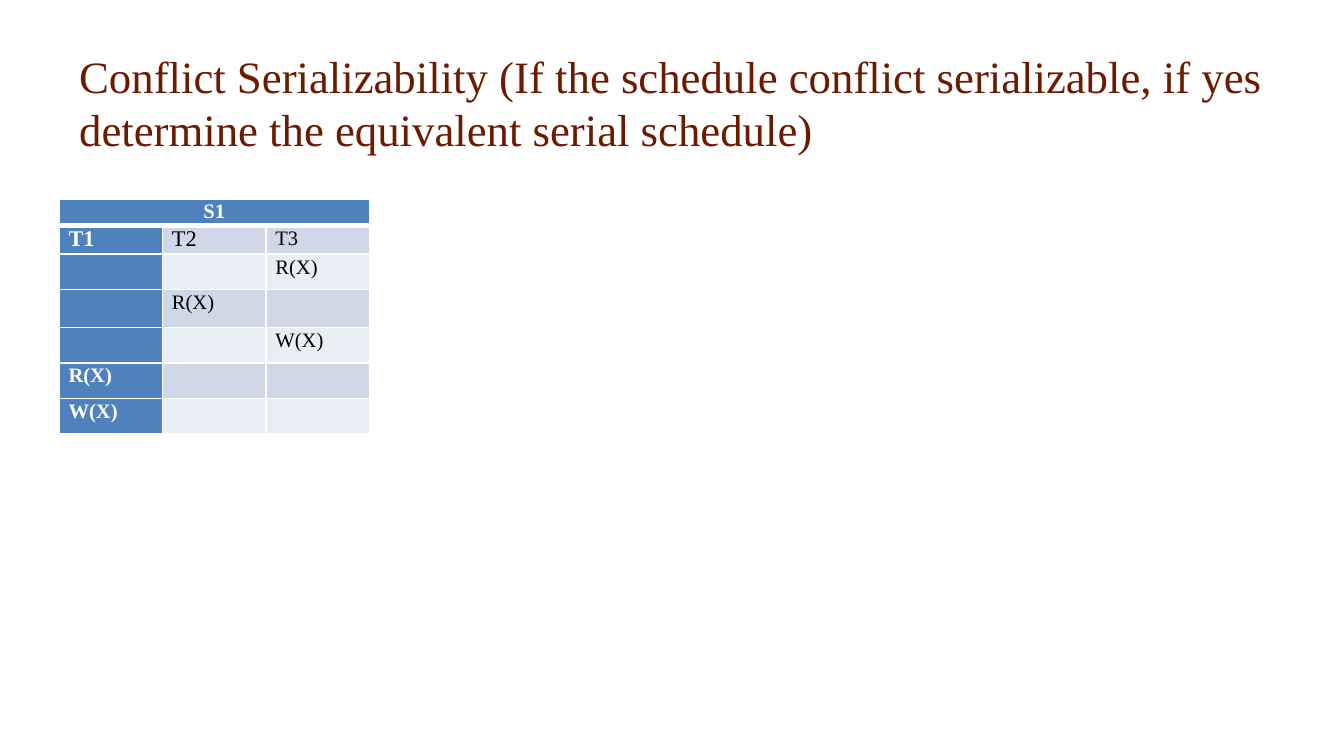
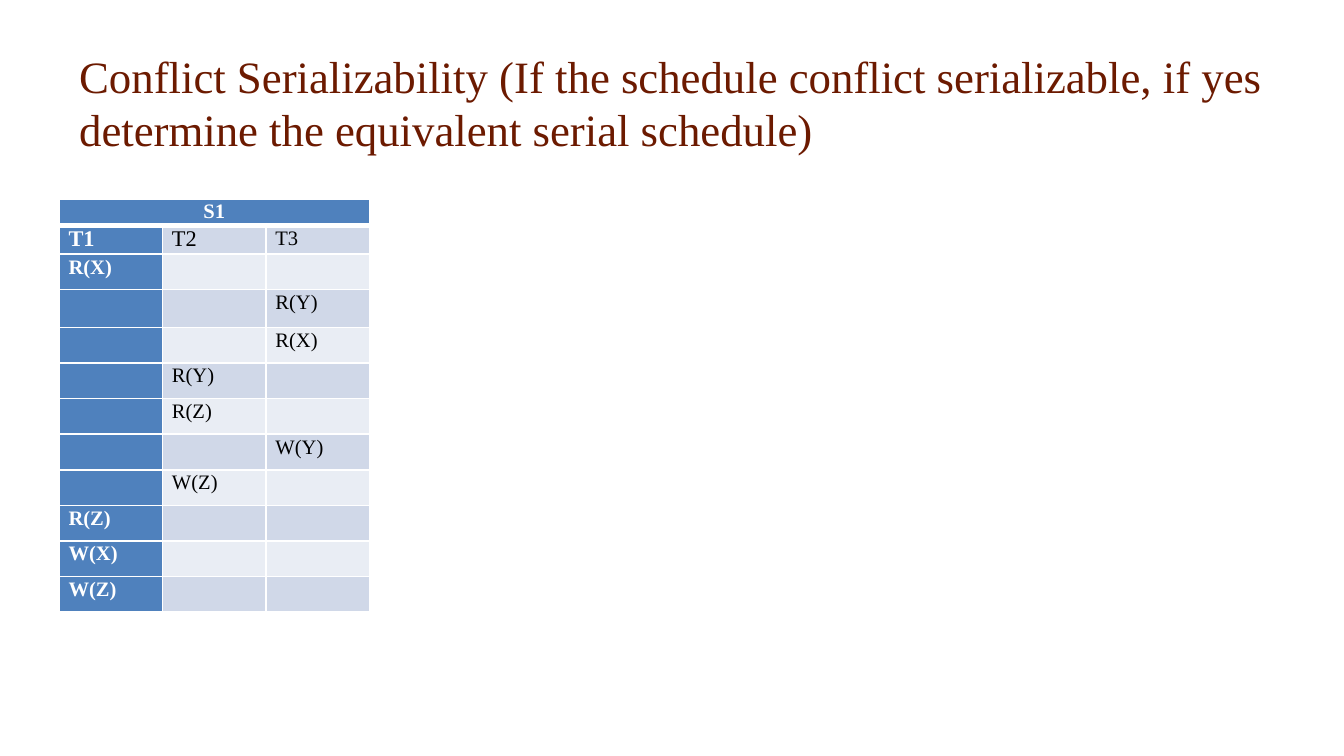
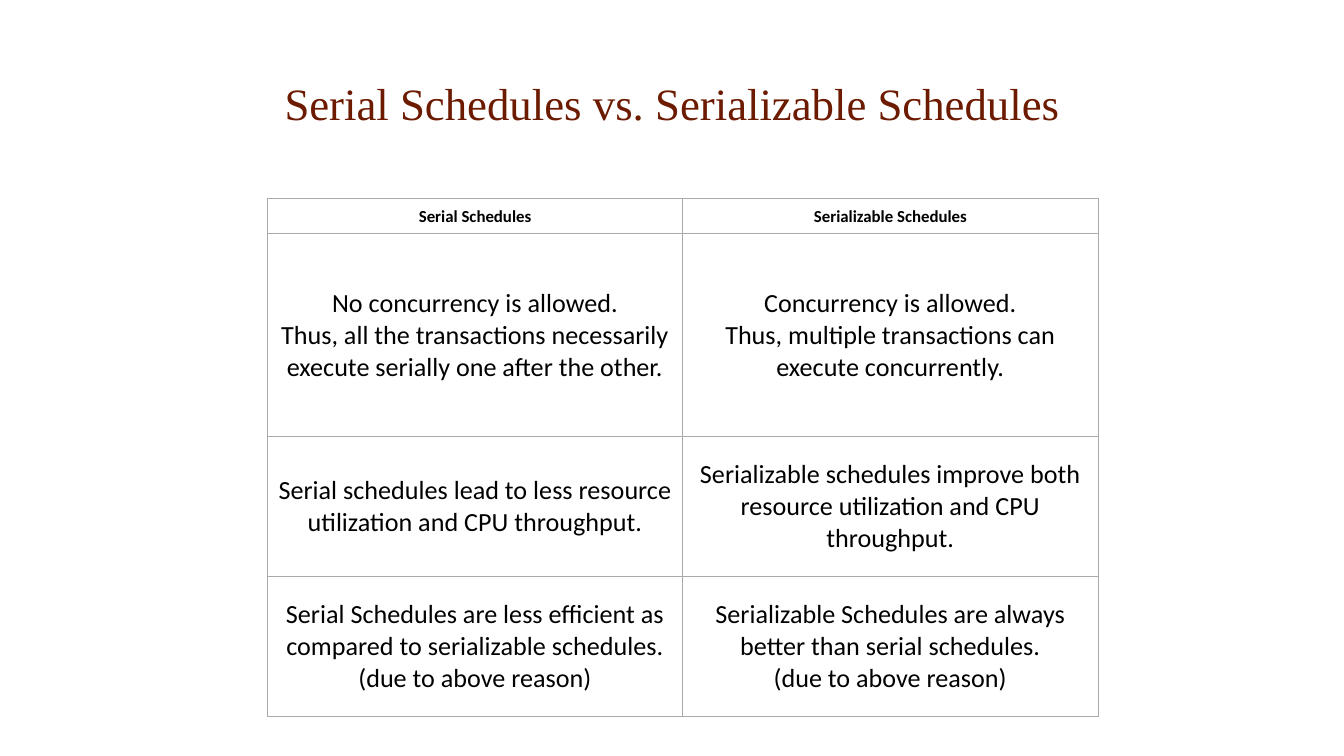
from dataclasses import dataclass

from lxml import etree
from pptx import Presentation
from pptx import util as u
from pptx.dml.color import RGBColor
from pptx.enum import text
from pptx.oxml import ns

LEFT, MID = text.PP_ALIGN.LEFT, text.PP_ALIGN.CENTER


@dataclass(frozen=True)
class Theme:
    serif: str = "Times New Roman"
    sans: str = "Calibri"
    brown: str = "6C1A00"
    blue: str = "4F81BD"
    bands: tuple = ("E9EDF4", "D0D8E8")
    white: str = "FFFFFF"
    black: str = "000000"
    grey: str = "AAAAAA"
    head: int = 24
    body: int = 14
    name: int = 12
    step: int = 11
    label: int = 9


class Deck:
    def __init__(self, theme):
        self.theme = theme
        self.prs = Presentation()
        self.prs.slide_width = u.Inches(10)
        self.prs.slide_height = u.Inches(10 * 9 / 16)
        self.slide = None

    def page(self, title, align=LEFT):
        """Start a slide and set its title below one empty line."""
        self.slide = self.prs.slides.add_slide(self.prs.slide_layouts[6])
        box = self.slide.shapes.add_textbox(
            u.Inches(0.49), u.Inches(0.14), u.Inches(9.02), u.Inches(0.84))
        frame = box.text_frame
        frame.word_wrap = True
        frame.vertical_anchor = text.MSO_ANCHOR.MIDDLE
        para = frame.paragraphs[0]
        para.alignment = align
        para.add_line_break()
        size = str(self.theme.head * 100)
        etree.SubElement(para._p[-1], ns.qn("a:rPr"), sz=size)
        self.run(para, title, self.theme.serif, self.theme.head, self.theme.brown)

    def run(self, para, words, face, size, color, bold=False):
        run = para.add_run()
        run.text = words
        font = run.font
        font.name, font.size, font.bold = face, u.Pt(size), bold
        font.color.rgb = RGBColor.from_string(color)

    def grid(self, left, top, widths, heights):
        """Add a plain table sized by its columns and rows."""
        table = self.slide.shapes.add_table(
            len(heights), len(widths), u.Inches(left), u.Inches(top),
            u.Inches(sum(widths)), u.Inches(sum(heights))).table
        table.first_row = table.horz_banding = False
        for col, width in zip(table.columns, widths):
            col.width = u.Inches(width)
        for row, height in zip(table.rows, heights):
            row.height = u.Inches(height)
        return table

    def frame(self, cell, fill, color, wide, pad):
        """Set fill, margins and borders; wide is left, right, top, bottom."""
        cell.fill.solid()
        cell.fill.fore_color.rgb = RGBColor.from_string(fill)
        cell.margin_left = cell.margin_right = u.Inches(pad[0])
        cell.margin_top = cell.margin_bottom = u.Inches(pad[1])
        props = cell._tc.get_or_add_tcPr()
        for spot, (side, width) in enumerate(zip("LRTB", wide)):
            line = etree.Element(ns.qn(f"a:ln{side}"), w=str(int(u.Pt(width))))
            solid = etree.SubElement(line, ns.qn("a:solidFill"))
            etree.SubElement(solid, ns.qn("a:srgbClr"), val=color)
            props.insert(spot, line)

    def plan(self, steps):
        """Add a schedule; each step is a transaction number and its action."""
        t = self.theme
        rows = [["S1", "", ""], ["T1", "T2", "T3"]]
        rows += [[act if col == num else "" for col in (1, 2, 3)]
                 for num, act in steps]
        heights = [0.17, 0.2] + [0.28 if i == 1 else 0.53 / 2
                                 for i in range(len(steps))]
        table = self.grid(0.44, 1.48, [0.77] * 3, heights)
        for r, row in enumerate(rows):
            for c, words in enumerate(row):
                cell = table.cell(r, c)
                dark = r == 0 or c == 0
                wide = (1, 1, 3 if r == 1 else 1, 3 if r == 0 else 1)
                self.frame(cell, t.blue if dark else t.bands[r % 2],
                           t.white, wide, (0.07, 0))
                para = cell.text_frame.paragraphs[0]
                para.alignment = MID if r == 0 else LEFT
                para.line_spacing, para.space_after = 1.07, u.Pt(8)
                if words:
                    size = t.name if words in ("T1", "T2") else t.step
                    self.run(para, words, t.serif, size,
                             t.white if dark else t.black, dark)
                else:
                    etree.SubElement(para._p, ns.qn("a:endParaRPr"),
                                     sz=str(t.label * 100))
        table.cell(0, 0).merge(table.cell(0, 2))

    def versus(self, rows, heights):
        """Add a comparison table with a bold first row."""
        t = self.theme
        table = self.grid(1.99, 1.48, [3.09] * 2, heights)
        for r, row in enumerate(rows):
            for c, words in enumerate(row):
                cell = table.cell(r, c)
                self.frame(cell, t.white, t.grey, [0.6] * 4, (0.06, 0.05))
                cell.vertical_anchor = text.MSO_ANCHOR.MIDDLE
                for i, part in enumerate(words.split("\n")):
                    body = cell.text_frame
                    para = body.add_paragraph() if i else body.paragraphs[0]
                    para.alignment = MID
                    self.run(para, part, t.sans, t.body if r else t.label,
                             t.black, r == 0)


TASK = ("Conflict Serializability (If the schedule conflict serializable, "
        "if yes determine the equivalent serial schedule)")

PLANS = [
    [(3, "R(X)"), (2, "R(X)"), (3, "W(X)"), (1, "R(X)"), (1, "W(X)")],
    [(1, "R(X)"), (3, "R(Y)"), (3, "R(X)"), (2, "R(Y)"), (2, "R(Z)"),
     (3, "W(Y)"), (2, "W(Z)"), (1, "R(Z)"), (1, "W(X)"), (1, "W(Z)")],
]

PAIRS = [
    ("Serial Schedules", "Serializable Schedules"),
    ("No concurrency is allowed.\nThus, all the transactions necessarily "
     "execute serially one after the other.",
     "Concurrency is allowed.\nThus, multiple transactions can execute "
     "concurrently."),
    ("Serial schedules lead to less resource utilization and CPU throughput.",
     "Serializable schedules improve both resource utilization and CPU "
     "throughput."),
    ("Serial Schedules are less efficient as compared to serializable "
     "schedules.\n(due to above reason)",
     "Serializable Schedules are always better than serial schedules.\n"
     "(due to above reason)"),
]


def main():
    deck = Deck(Theme())
    # Schedules to test
    for steps in PLANS:
        deck.page(TASK)
        deck.plan(steps)
    # Comparison
    deck.page("Serial Schedules vs. Serializable Schedules", MID)
    deck.versus(PAIRS, [0.26, 1.51, 1.04, 1.04])
    deck.prs.save("out.pptx")


if __name__ == "__main__":
    main()
